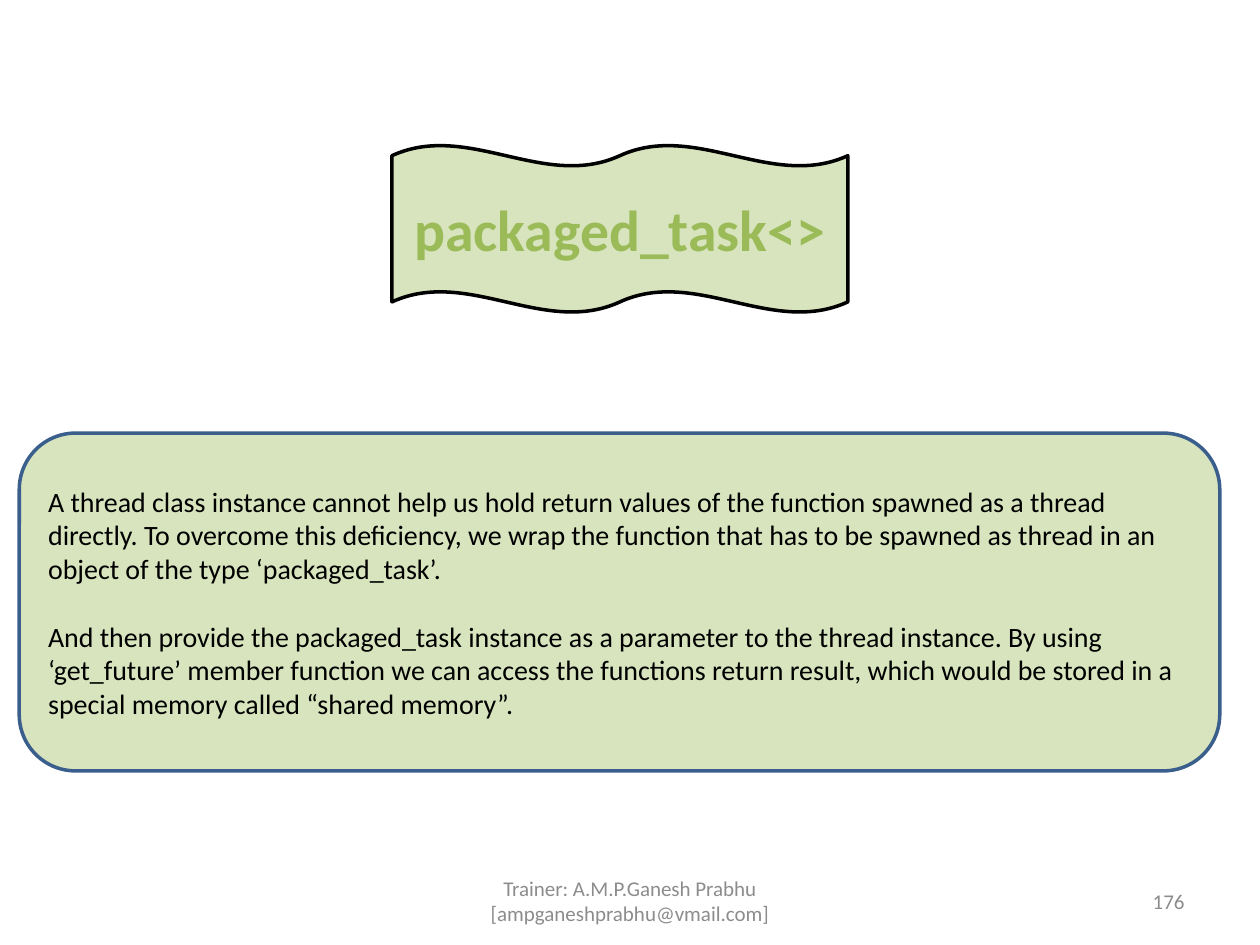
from pptx import Presentation
from pptx.dml.color import RGBColor
from pptx.enum.shapes import MSO_SHAPE as SHAPE
from pptx.enum.text import MSO_ANCHOR as ANCHOR, PP_ALIGN as ALIGN
from pptx.util import Pt

COLORS = {
    "panel": "D7E4BD",
    "title": "9BBB59",
    "black": "000000",
    "border": "3A5F8C",
    "footer": "8C8C8C",
}
BODY = [
    "A thread class instance cannot help us hold return values of the function "
    "spawned as a thread directly. To overcome this deficiency, we wrap the "
    "function that has to be spawned as thread in an object of the type "
    "‘packaged_task’.",
    "And then provide the packaged_task instance as a parameter to the thread "
    "instance. By using ‘get_future’ member function we can access the functions "
    "return result, which would be stored in a special memory called "
    "“shared memory”.",
]


def rgb(name):
    return RGBColor.from_string(COLORS[name])


def write(sp, paragraphs, size, color, align, bold=False, gap=0):
    tf = sp.text_frame
    tf.word_wrap = True
    tf.vertical_anchor = ANCHOR.MIDDLE
    tf.text = "\n".join(paragraphs)
    for i, p in enumerate(tf.paragraphs):
        p.alignment = align
        if i:
            p.space_before = Pt(gap)
        for r in p.runs:
            r.font.name = "Calibri"
            r.font.size = Pt(size)
            r.font.bold = bold
            r.font.color.rgb = rgb(color)


def add_panel(s, kind, box, border):
    sp = s.shapes.add_shape(kind, *map(Pt, box))
    sp.shadow.inherit = False
    sp.fill.solid()
    sp.fill.fore_color.rgb = rgb("panel")
    sp.line.color.rgb = rgb(border)
    sp.line.width = Pt(2)
    return sp


def add_footer(s, text, box, align):
    sp = s.shapes.add_textbox(*map(Pt, box))
    write(sp, [text], 12, "footer", align)


def main():
    prs = Presentation()
    prs.slide_width, prs.slide_height = Pt(720), Pt(540)
    s = prs.slides.add_slide(prs.slide_layouts[6])

    banner = add_panel(s, SHAPE.DOUBLE_WAVE, (224, 83, 260.5, 95.5), "black")
    tf = banner.text_frame
    tf.margin_left = tf.margin_right = Pt(5)
    tf.margin_top = tf.margin_bottom = Pt(3)
    write(banner, ["packaged_task<>"], 33, "title", ALIGN.CENTER, bold=True)

    panel = add_panel(s, SHAPE.ROUNDED_RECTANGLE, (11, 247.5, 686, 193), "border")
    write(panel, BODY, 16, "black", ALIGN.LEFT, gap=19.5)

    add_footer(s, "Trainer: A.M.P.Ganesh Prabhu [ampganeshprabhu@vmail.com]",
               (246, 500.5, 228, 28.75), ALIGN.CENTER)
    add_footer(s, "176", (516, 500.5, 168, 28.75), ALIGN.RIGHT)
    prs.save("out.pptx")


if __name__ == "__main__":
    main()
